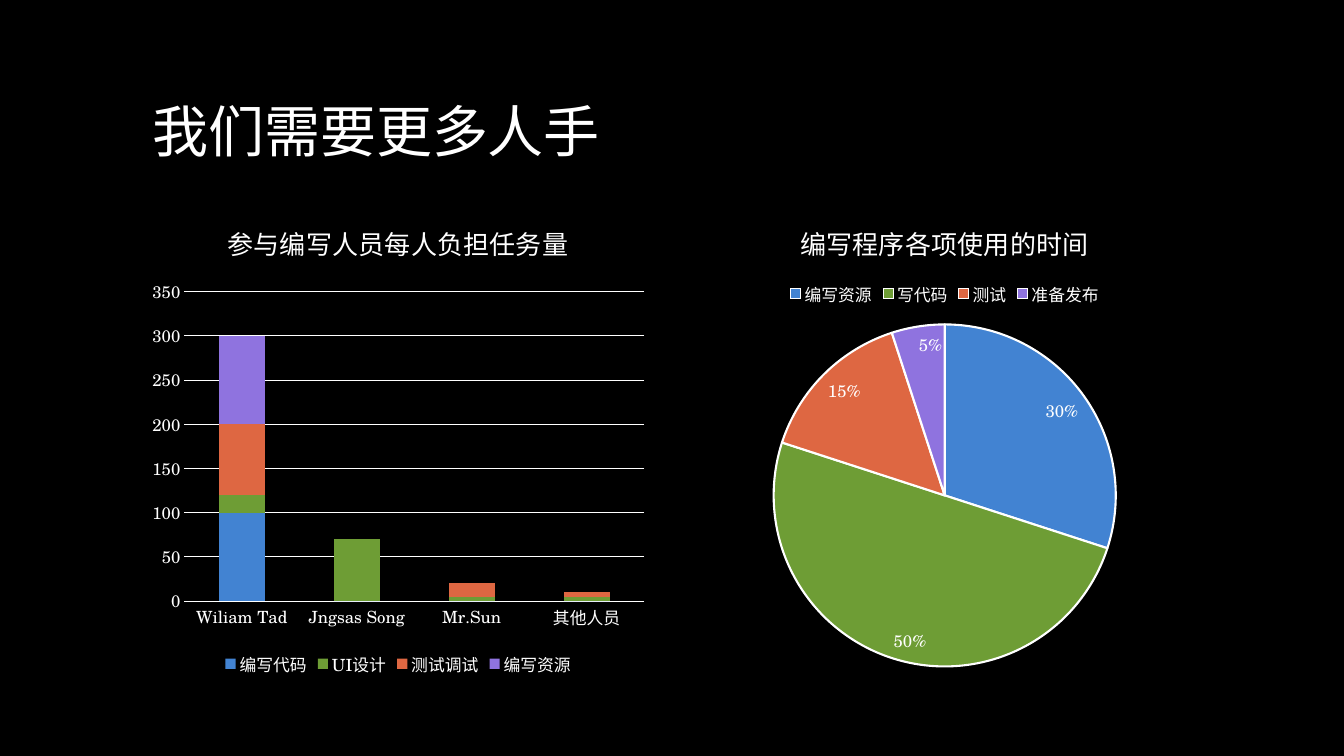
from dataclasses import dataclass

from lxml.etree import SubElement
from pptx import Presentation
from pptx.chart.data import CategoryChartData
from pptx.dml.color import RGBColor
from pptx.enum.chart import XL_CHART_TYPE as Chart
from pptx.enum.chart import XL_LABEL_POSITION as LabelPos
from pptx.enum.chart import XL_LEGEND_POSITION as LegendPos
from pptx.enum.chart import XL_TICK_MARK as Tick
from pptx.enum.text import MSO_ANCHOR, MSO_AUTO_SIZE, PP_ALIGN
from pptx.oxml.ns import qn
from pptx.util import Inches, Pt

TITLE = "我们需要更多人手"
WORKLOAD_TITLE = "参与编写人员每人负担任务量"
PEOPLE = ["Wiliam Tad", "Jngsas Song", "Mr.Sun", "其他人员"]
WORKLOAD = {
    "编写代码": (100, 0, 0, 0),
    "UI设计": (20, 70, 5, 5),
    "测试调试": (80, 0, 15, 5),
    "编写资源": (100, 0, 0, 0),
}
TIME_TITLE = "编写程序各项使用的时间"
TASKS = ["编写资源", "写代码", "测试", "准备发布"]
TIME = {TIME_TITLE: (30, 50, 15, 5)}


@dataclass(frozen=True)
class Theme:
    background: str = "000000"
    ink: str = "FFFFFF"
    accents: tuple = ("4283D2", "6E9D35", "DE6742", "8F73DF")
    latin: str = "TeX Gyre Schola"
    cjk: str = "Noto Sans CJK SC"
    title: float = 40
    chart_title: float = 18.6
    label: float = 12
    base: float = 10
    rule: float = 0.75
    slice_edge: float = 1.5


THEME = Theme()
LEFT, GAP, CHART_TOP = 1.41, 0.34, 2
CHART_W, CHART_H = 5.08, 4.75


def rgb(value):
    return RGBColor.from_string(value)


def style_font(font, size, latin=THEME.latin):
    font.size, font.name, font.bold = Pt(size), latin, False
    font.color.rgb = rgb(THEME.ink)


def write(tf, text, size, latin=THEME.latin, align=None, spacing=None):
    p = tf.paragraphs[0]
    p.alignment, p.line_spacing = align, spacing
    r = p.add_run()
    r.text = text
    style_font(r.font, size, latin)
    ea = SubElement(r.font._element, qn("a:ea"))
    ea.set("typeface", THEME.cjk)


def draw_line(line, width):
    line.color.rgb = rgb(THEME.ink)
    line.width = Pt(width)


def paint(fmt, color):
    fmt.fill.solid()
    fmt.fill.fore_color.rgb = rgb(color)


def add_chart(slide, column, kind, title, categories, series, legend_pos):
    data = CategoryChartData()
    data.categories = categories
    for name, values in series.items():
        data.add_series(name, values)
    left = LEFT + column * (CHART_W + GAP)
    chart = slide.shapes.add_chart(
        kind, Inches(left), Inches(CHART_TOP),
        Inches(CHART_W), Inches(CHART_H), data).chart
    style_font(chart.font, THEME.base)
    write(chart.chart_title.text_frame, title, THEME.chart_title)
    chart.chart_title.include_in_layout = False
    chart.has_legend = True
    chart.legend.position = legend_pos
    chart.legend.include_in_layout = False
    style_font(chart.legend.font, THEME.label)
    return chart


def add_workload(slide):
    chart = add_chart(slide, 0, Chart.COLUMN_STACKED, WORKLOAD_TITLE,
                      PEOPLE, WORKLOAD, LegendPos.BOTTOM)
    plot = chart.plots[0]
    plot.gap_width, plot.overlap = 150, 100
    plot.vary_by_categories = False
    for series, color in zip(plot.series, THEME.accents):
        paint(series.format, color)
    for axis in (chart.category_axis, chart.value_axis):
        axis.major_tick_mark = axis.minor_tick_mark = Tick.NONE
        style_font(axis.tick_labels.font, THEME.label)
    draw_line(chart.category_axis.format.line, THEME.rule)
    chart.value_axis.format.line.fill.background()
    draw_line(chart.value_axis.major_gridlines.format.line, THEME.rule)


def add_time(slide):
    chart = add_chart(slide, 1, Chart.PIE, TIME_TITLE, TASKS, TIME,
                      LegendPos.TOP)
    plot = chart.plots[0]
    plot.vary_by_categories = True
    series = plot.series[0]
    for i, color in enumerate(THEME.accents):
        fmt = series.points[i].format
        paint(fmt, color)
        draw_line(fmt.line, THEME.slice_edge)
    labels = series.data_labels
    labels.show_percentage, labels.show_value = True, False
    labels.number_format, labels.number_format_is_linked = "0%", False
    labels.position = LabelPos.INSIDE_END
    style_font(labels.font, THEME.label)


def main():
    prs = Presentation()
    prs.slide_width, prs.slide_height = Inches(13.33), Inches(7.5)
    s = prs.slides.add_slide(prs.slide_layouts[5])
    paint(s.background, THEME.background)
    title = s.shapes.title
    title.left, title.top = Inches(LEFT), Inches(0.42)
    title.width, title.height = Inches(10.5), Inches(1.25)
    tf = title.text_frame
    tf.vertical_anchor, tf.auto_size = MSO_ANCHOR.BOTTOM, MSO_AUTO_SIZE.NONE
    write(tf, TITLE, THEME.title, THEME.cjk, PP_ALIGN.LEFT, 0.8)
    add_workload(s)
    add_time(s)
    prs.save("out.pptx")


if __name__ == "__main__":
    main()
